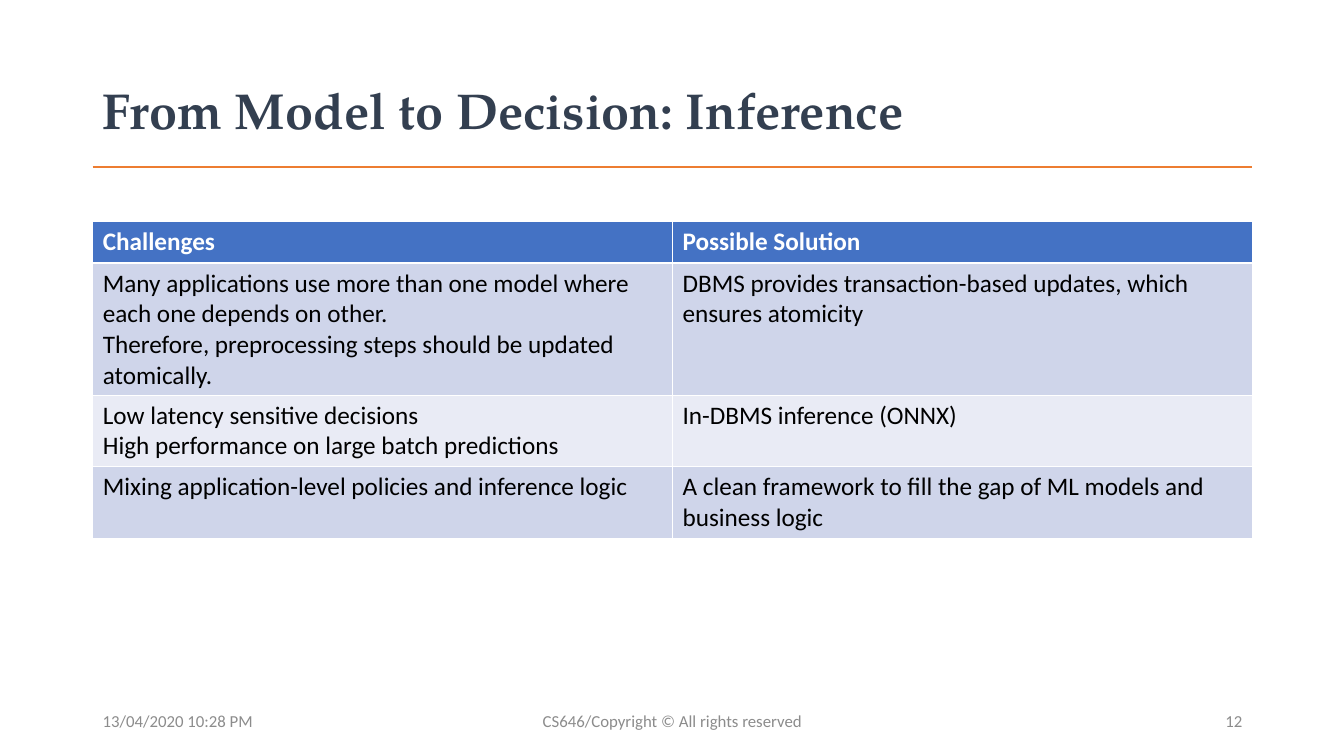
from lxml.etree import SubElement
from pptx import Presentation
from pptx.dml.color import RGBColor
from pptx.enum.shapes import MSO_CONNECTOR
from pptx.enum.text import MSO_ANCHOR, PP_ALIGN
from pptx.oxml.ns import qn
from pptx.util import Inches, Pt

TITLE = "From Model to Decision: Inference"
ROWS = [
    ("Challenges", "Possible Solution"),
    ("Many applications use more than one model where each one depends on other.\n"
     "Therefore, preprocessing steps should be updated atomically.",
     "DBMS provides transaction-based updates, which ensures atomicity"),
    ("Low latency sensitive decisions\nHigh performance on large batch predictions",
     "In-DBMS inference (ONNX)"),
    ("Mixing application-level policies and inference logic",
     "A clean framework to fill the gap of ML models and business logic"),
]
ROW_HEIGHTS = [0.41, 1.31, 0.71, 0.71]
FOOTER = [
    ("13/04/2020 10:28 PM", 0.92, 3, PP_ALIGN.LEFT),
    ("CS646/Copyright © All rights reserved", 4.42, 4.5, PP_ALIGN.CENTER),
    ("12", 9.42, 3, PP_ALIGN.RIGHT),
]
LEFT, WIDTH = 0.92, 11.5
HEADER_FILL, BANDS = "4472C4", ("E9EBF5", "CFD5EA")


def rgb(value):
    return RGBColor.from_string(value)


def style(p, size, color, name="Calibri", bold=False):
    p.font.size = Pt(size)
    p.font.name = name
    p.font.bold = bold
    p.font.color.rgb = rgb(color)


def add_text(s, text, left, top, width, height, align=PP_ALIGN.LEFT):
    tf = s.shapes.add_textbox(*map(Inches, (left, top, width, height))).text_frame
    tf.word_wrap = True
    tf.vertical_anchor = MSO_ANCHOR.MIDDLE
    p = tf.paragraphs[0]
    p.text = text
    p.alignment = align
    return p


prs = Presentation()
prs.slide_width, prs.slide_height = Inches(13.33), Inches(7.5)
s = prs.slides.add_slide(prs.slide_layouts[6])

rule = s.shapes.add_connector(
    MSO_CONNECTOR.STRAIGHT, *map(Inches, (LEFT, 1.66, LEFT + WIDTH, 1.66)))
rule.line.color.rgb = rgb("ED7D31")
rule.line.width = Pt(1.5)
SubElement(rule._element.spPr, qn("a:effectLst"))

p = add_text(s, TITLE, LEFT, 0.4, WIDTH, 1.45)
p.line_spacing = 0.9
style(p, 36, "333F50", "TeX Gyre Pagella", True)

table = s.shapes.add_table(
    len(ROWS), 2, *map(Inches, (LEFT, 2.2, WIDTH, sum(ROW_HEIGHTS)))).table
for column in table.columns:
    column.width = Inches(WIDTH / 2)
for i, (texts, height) in enumerate(zip(ROWS, ROW_HEIGHTS)):
    table.rows[i].height = Inches(height)
    header = i == 0
    for cell, text in zip(table.rows[i].cells, texts):
        cell.fill.solid()
        cell.fill.fore_color.rgb = rgb(HEADER_FILL if header else BANDS[i % 2])
        cell.text = text
        for p in cell.text_frame.paragraphs:
            style(p, 18, "FFFFFF" if header else "000000", bold=header)

for text, left, width, align in FOOTER:
    style(add_text(s, text, left, 6.95, width, 0.4, align), 12, "8C8C8C")

prs.save("out.pptx")
